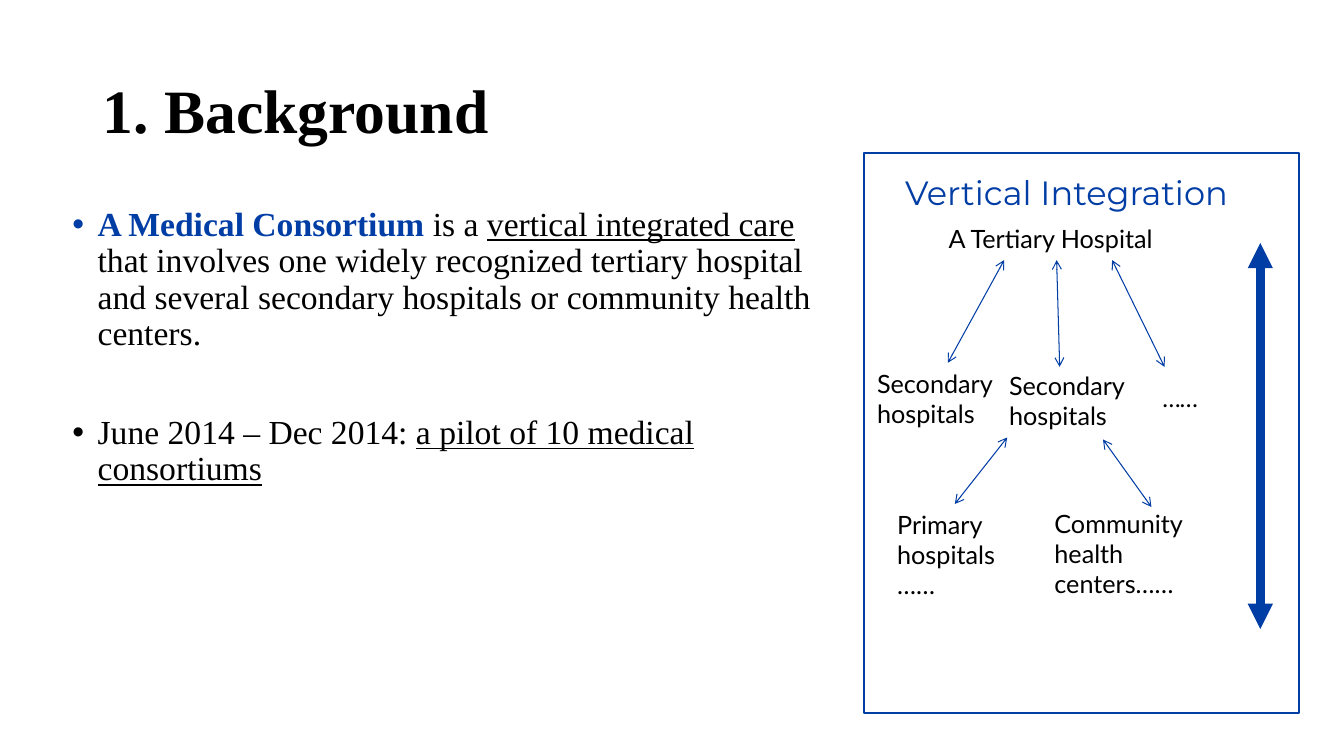
from pptx import Presentation
from pptx.dml.color import RGBColor
from pptx.enum.shapes import MSO_CONNECTOR, MSO_SHAPE
from pptx.enum.text import MSO_ANCHOR, PP_ALIGN
from pptx.oxml.ns import qn
from pptx.util import Inches, Pt
from lxml import etree

STRAIGHT, RECT = MSO_CONNECTOR.STRAIGHT, MSO_SHAPE.RECTANGLE
TOP, MIDDLE = MSO_ANCHOR.TOP, MSO_ANCHOR.MIDDLE
LEFT, CENTER = PP_ALIGN.LEFT, PP_ALIGN.CENTER
COLORS = {"blue": "003DA5", "black": "000000"}
SERIF, SANS, HEADING = "Times New Roman", "Lato", "Montserrat"

# Content: each bullet is (space before, runs), each run (text, format)
TITLE = "1. Background"
BULLETS = [
    (10, [("A Medical Consortium ", {"bold": True, "color": "blue"}),
          ("is a ", {}),
          ("vertical integrated care", {"underline": True}),
          (" that involves one widely recognized tertiary hospital and several "
           "secondary hospitals or community health centers.", {})]),
    (45, [("June 2014 – Dec 2014: ", {}),
          ("a pilot of 10 medical consortiums", {"underline": True})]),
]
PANEL = (8.57, 1.52, 4.31, 5.55)
PANEL_TITLE = ("Vertical Integration", (8.88, 1.66, 3.82, 0.5))
NODES = [
    ("A Tertiary Hospital", (9.31, 2.17, 2.95, 0.4), {}),
    ("Secondary hospitals", (8.6, 3.6, 1.59, 0.71), {}),
    ("Secondary hospitals", (9.91, 3.62, 1.59, 0.71), {}),
    ("……", (10.91, 3.74, 1.59, 0.4), {"font": "Calibri", "align": CENTER}),
    ("Primary hospitals……", (8.8, 5, 1.33, 1.01), {}),
    ("Community health centers……", (10.36, 4.99, 1.86, 1.01), {}),
]
LINKS = [
    (9.96, 2.58, 9.4, 3.6), (10.48, 2.58, 10.51, 3.64), (11.03, 2.58, 11.55, 3.64),
    (10.94, 4.36, 11.42, 5.03), (9.99, 4.34, 9.47, 5),
]
SPAN = (12.5, 2.41, 12.5, 6.24)

prs = Presentation()
prs.slide_width, prs.slide_height = Inches(13.33), Inches(7.5)
s = prs.slides.add_slide(prs.slide_layouts[6])


def rgb(name):
    return RGBColor.from_string(COLORS[name])


def add_run(p, text, font=SANS, size=18, color="black", bold=False, underline=False):
    r = p.add_run()
    r.text = text
    r.font.name, r.font.size = font, Pt(size)
    r.font.bold, r.font.underline = bold, underline
    r.font.color.rgb = rgb(color)


def add_box(box, anchor=TOP):
    tf = s.shapes.add_textbox(*map(Inches, box)).text_frame
    tf.word_wrap, tf.vertical_anchor = True, anchor
    return tf


def add_text(text, box, anchor=TOP, align=LEFT, spacing=None, **fmt):
    p = add_box(box, anchor).paragraphs[0]
    p.alignment, p.line_spacing = align, spacing
    add_run(p, text, **fmt)


def add_bullet(p):
    pPr = p._p.get_or_add_pPr()
    pPr.set("marL", str(Inches(0.25)))
    pPr.set("indent", str(-Inches(0.25)))
    etree.SubElement(pPr, qn("a:buFont")).set("typeface", "Arial")
    etree.SubElement(pPr, qn("a:buChar")).set("char", "•")


def add_arrow(ends, width, head):
    c = s.shapes.add_connector(STRAIGHT, *map(Inches, ends))
    c.line.color.rgb, c.line.width = rgb("blue"), Pt(width)
    ln = c.line._get_or_add_ln()
    for tag in ("a:headEnd", "a:tailEnd"):
        etree.SubElement(ln, qn(tag)).set("type", head)
    etree.SubElement(c._element.spPr, qn("a:effectLst"))


# Panel frame
frame = s.shapes.add_shape(RECT, *map(Inches, PANEL))
frame.shadow.inherit = False
frame.fill.background()
frame.line.color.rgb, frame.line.width = rgb("blue"), Pt(1.5)

# Title and bullets
add_text(TITLE, (0.92, 0.4, 11.5, 1.45), anchor=MIDDLE, spacing=0.9,
         font=SERIF, size=44, bold=True)
tf = add_box((0.62, 2.01, 7.82, 4.38))
for i, (before, runs) in enumerate(BULLETS):
    p = tf.add_paragraph() if i else tf.paragraphs[0]
    p.line_spacing, p.space_before = 0.9, Pt(before)
    add_bullet(p)
    for text, fmt in runs:
        add_run(p, text, font=SERIF, size=24, **fmt)

# Hospital levels and their links
for text, box, fmt in NODES:
    add_text(text, box, **fmt)
for ends in LINKS:
    add_arrow(ends, 0.75, "arrow")
add_arrow(SPAN, 6, "triangle")
add_text(*PANEL_TITLE, font=HEADING, size=24, color="blue")

prs.save("out.pptx")
